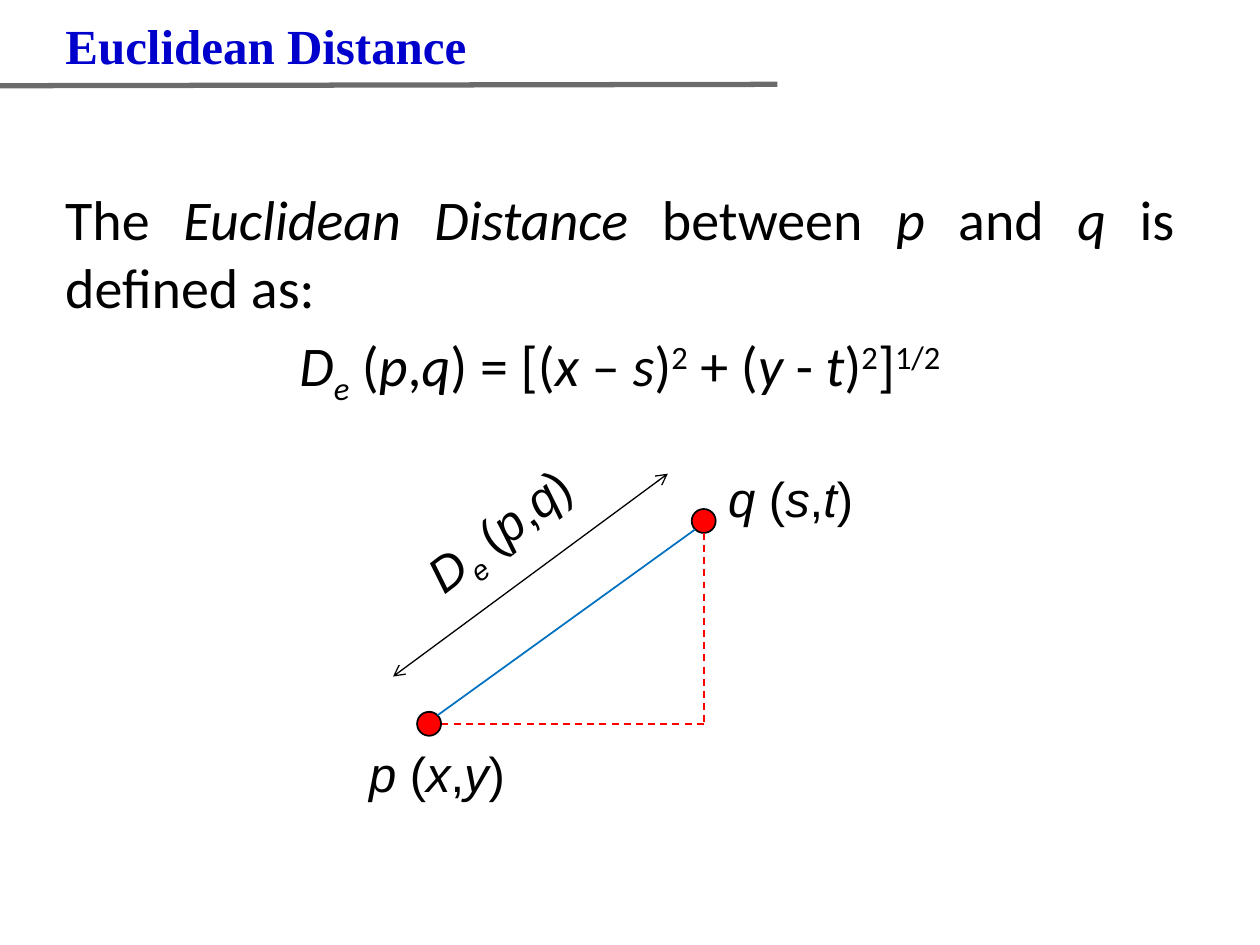
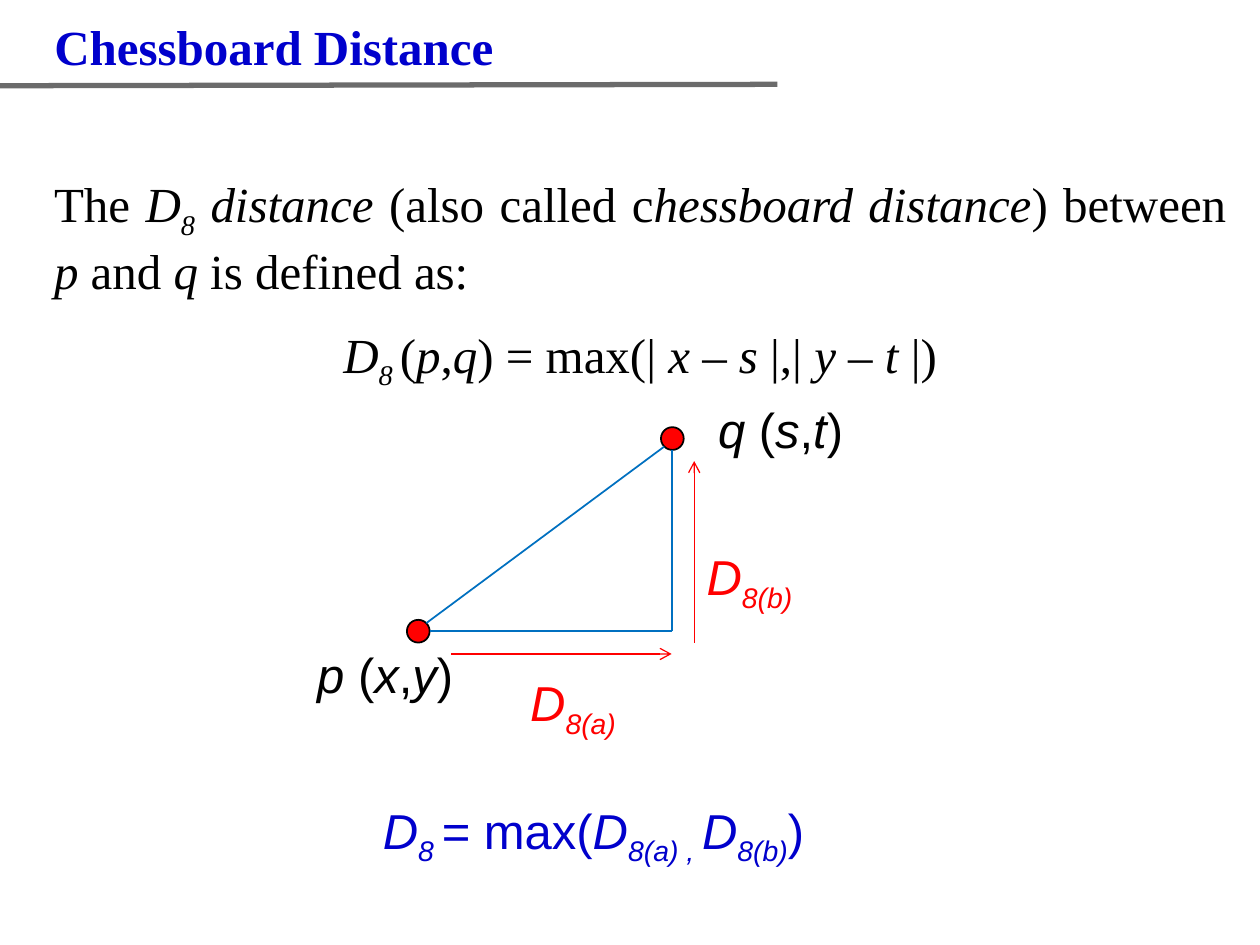
from itertools import groupby
from pptx import Presentation
from pptx.dml.color import RGBColor
from pptx.enum.dml import MSO_LINE as Dash
from pptx.enum.shapes import MSO_CONNECTOR as Conn, MSO_SHAPE as Shape
from pptx.enum.text import MSO_ANCHOR as Anchor, MSO_AUTO_SIZE as Auto, PP_ALIGN as Align
from pptx.oxml.ns import qn
from pptx.util import Pt
from lxml.etree import SubElement

BLACK = RGBColor(0, 0, 0)
RED = RGBColor(255, 0, 0)
NAVY = RGBColor(0, 0, 0xCC)
BLUE = RGBColor(0, 0x70, 0xC0)
GREY = RGBColor(0x6B, 0x6B, 0x6B)
SERIF, SANS, BODY = "Times New Roman", "Arial", "Calibri"
SHIFT = {"_": "-25000", "^": "30000"}

# Markup: * toggles italic, _ toggles subscript, ^ toggles superscript.
PAGES = [
    {
        "title": ("Euclidean Distance", (30.2, 5, 253.4, 41)),
        "body": {
            "box": (30.2, 102.2, 648, 131.8), "font": BODY, "size": 32, "gap": 6.4,
            "lines": ["The *Euclidean Distance* between *p* and *q* is defined as:",
                      "*D_e_* (*p*,*q*) = [(*x* – *s*)^2^ + (*y* - *t*)^2^]^1/2^"],
        },
        "dots": ((245.2, 413.6), (402.1, 297.7), 13.7),
        "legs": (RED, Dash.DASH),
        "arrows": [((224.6, 386.6), (381.6, 270.7), BLACK, True)],
        "labels": [
            ("*q* (*s*,*t*)", (409, 264.2, 136.8, 46.8), BLACK, 0),
            ("*D_e_* (*p*,*q*)", (228.2, 270, 146.9, 46.8), BLACK, 322.6),
            ("*p* (*x*,*y*)", (203.8, 421.2, 129.6, 46.8), BLACK, 0),
        ],
    },
    {
        "title": ("Chessboard Distance", (23.8, 5.8, 268.6, 41)),
        "body": {
            "box": (23.8, 95.8, 684, 126), "font": SERIF, "size": 28, "gap": 14,
            "lines": ["The *D_8_ distance *(also called c*hessboard distance*) "
                      "between *p* and *q* is defined as:",
                      "*D_8 _*(*p*,*q*) = max(| *x* – *s *|,| *y* – *t *|)"],
        },
        "dots": ((239, 360.7), (384.2, 250.6), 13),
        "legs": (BLUE, None),
        "arrows": [((396.7, 367.2), (396.7, 263.5), RED, False),
                   ((257.8, 373.7), (383.8, 373.7), RED, False)],
        "labels": [
            ("*p* (*x*,*y*)", (174.2, 365, 108.7, 44.6), BLACK, 0),
            ("*q* (*s*,*t*)", (403.2, 224.6, 121.7, 44.6), BLACK, 0),
            ("*D_8(b)_*", (396.7, 308.9, 96.5, 44.6), RED, 0),
            ("*D_8(a)_*", (295.9, 380.9, 170.6, 44.6), RED, 0),
            ("*D_8 _*= max(*D_8(a) , _D_8(b)_*)", (211.7, 453.6, 332.6, 44.6), NAVY, 0),
        ],
    },
]


def parse(text):
    slant, base, chars = False, "", []
    for c in text:
        if c == "*":
            slant = not slant
        elif c in SHIFT:
            base = "" if base else SHIFT[c]
        else:
            chars.append((c, slant, base))
    for (slant, base), part in groupby(chars, key=lambda t: t[1:]):
        yield "".join(t[0] for t in part), slant, base


def write(para, text, font, size, color):
    for part, slant, base in parse(text):
        run = para.add_run()
        run.text = part
        style = run.font
        style.name, style.size, style.italic = font, Pt(size), slant
        style.color.rgb = color
        if base:
            run._r.get_or_add_rPr().set("baseline", base)


def add_box(slide, box):
    shape = slide.shapes.add_textbox(*map(Pt, box))
    shape.text_frame.word_wrap = True
    return shape


def add_line(slide, start, end, color, width=1, dash=None, head=False, tail=False):
    line = slide.shapes.add_connector(Conn.STRAIGHT, *map(Pt, (*start, *end)))
    line.line.color.rgb, line.line.width = color, Pt(width)
    if dash:
        line.line.dash_style = dash
    for tag, on in (("a:headEnd", head), ("a:tailEnd", tail)):
        if on:
            SubElement(line.line._get_or_add_ln(), qn(tag)).set("type", "arrow")
    SubElement(line._element.spPr, qn("a:effectLst"))


def add_title(slide, text, box):
    title = slide.shapes.title
    title.left, title.top, title.width, title.height = map(Pt, box)
    frame = title.text_frame
    frame.text = text
    frame.word_wrap, frame.auto_size = False, Auto.NONE
    frame.vertical_anchor = Anchor.TOP
    para = frame.paragraphs[0]
    para.alignment = Align.LEFT
    style = para.runs[0].font
    style.name, style.size, style.bold = SERIF, Pt(28), True
    style.color.rgb = NAVY


def add_body(slide, box, font, size, gap, lines):
    frame = add_box(slide, box).text_frame
    first, second = frame.paragraphs[0], frame.add_paragraph()
    first.alignment, second.alignment = Align.JUSTIFY, Align.CENTER
    second.space_before = Pt(gap)
    for para, text in zip((first, second), lines):
        write(para, text, font, size, BLACK)


def add_graph(slide, p, q, size, color, dash):
    half = size / 2
    for x, y in (p, q):
        dot = slide.shapes.add_shape(
            Shape.OVAL, *map(Pt, (x - half, y - half, size, size)))
        dot.shadow.inherit = False
        dot.fill.solid()
        dot.fill.fore_color.rgb = RED
        dot.line.color.rgb, dot.line.width = BLACK, Pt(1)
    edge = half * 0.71
    add_line(slide, (p[0] + edge, p[1] - edge), (q[0] - edge, q[1] + edge), BLUE)
    turn = q[0], p[1]
    add_line(slide, (q[0], q[1] + half), turn, color, dash=dash)
    add_line(slide, turn, (p[0] + half, p[1]), color, dash=dash)


def main():
    deck = Presentation()
    deck.slide_width, deck.slide_height = Pt(720), Pt(540)
    for page in PAGES:
        slide = deck.slides.add_slide(deck.slide_layouts[5])
        add_line(slide, (-1.4, 49), (444.2, 48.2), GREY, 3)
        add_title(slide, *page["title"])
        add_body(slide, **page["body"])
        add_graph(slide, *page["dots"], *page["legs"])
        for start, end, color, both in page["arrows"]:
            add_line(slide, start, end, color, 0.75, head=both, tail=True)
        for text, box, color, turn in page["labels"]:
            label = add_box(slide, box)
            label.rotation = turn
            write(label.text_frame.paragraphs[0], text, SANS, 28, color)
    deck.save("out.pptx")


if __name__ == "__main__":
    main()
